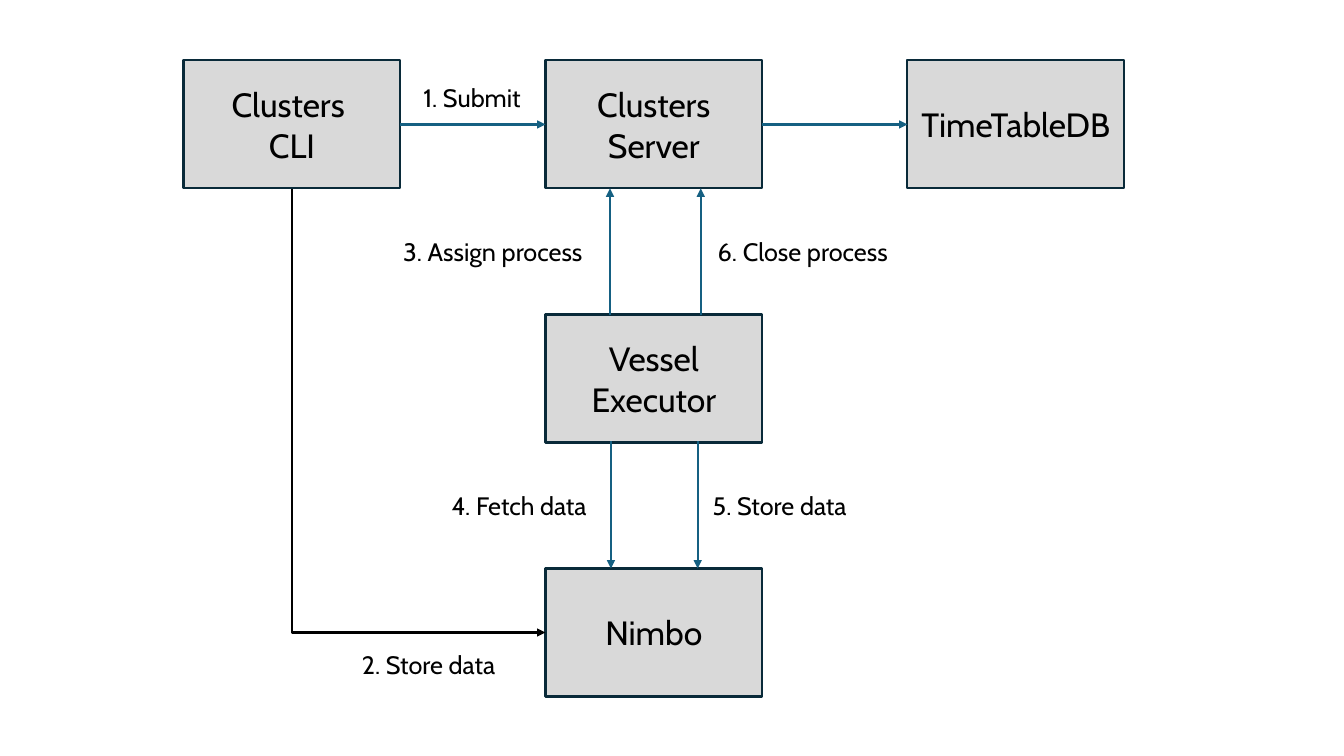
from lxml.etree import SubElement
from pptx import Presentation
from pptx.dml.color import RGBColor
from pptx.enum.shapes import MSO_CONNECTOR as Link, MSO_SHAPE as Preset
from pptx.enum.text import MSO_ANCHOR as Anchor, MSO_AUTO_SIZE as AutoSize, PP_ALIGN as Align
from pptx.oxml.ns import qn
from pptx.util import Inches, Pt

BLACK = RGBColor(0x00, 0x00, 0x00)
BLUE = RGBColor(0x15, 0x60, 0x82)
NAVY = RGBColor(0x09, 0x2A, 0x39)
GREY = RGBColor(0xD9, 0xD9, 0xD9)
FONT = "Cabin"
BOX_WIDTH, BOX_HEIGHT = 2.15, 1.27
FIRST_LEFT, COLUMN_STEP = 1.82, 3.59
FIRST_TOP, ROW_STEP = 0.6, 2.52
TOP, BOTTOM, LEFT, RIGHT = 0, 2, 1, 3


def format_paragraph(paragraph, text, size):
    """Fill a paragraph with black text of the given size."""
    paragraph.text = text
    paragraph.font.name = FONT
    paragraph.font.size = Pt(size)
    paragraph.font.color.rgb = BLACK


def add_box(slide, column, row, *lines):
    """Add a component box at a grid position."""
    box = slide.shapes.add_shape(
        Preset.RECTANGLE,
        Inches(FIRST_LEFT + column * COLUMN_STEP),
        Inches(FIRST_TOP + row * ROW_STEP),
        Inches(BOX_WIDTH),
        Inches(BOX_HEIGHT),
    )
    box.shadow.inherit = False
    box.fill.solid()
    box.fill.fore_color.rgb = GREY
    box.line.color.rgb = NAVY
    box.line.width = Pt(1.5)
    frame = box.text_frame
    frame.vertical_anchor = Anchor.MIDDLE
    for index, line in enumerate(lines):
        paragraph = frame.add_paragraph() if index else frame.paragraphs[0]
        format_paragraph(paragraph, line, 24)
        paragraph.alignment = Align.CENTER
    return box


def add_label(slide, left, top, width, text, wrap=False):
    """Add a step label."""
    label = slide.shapes.add_textbox(Inches(left), Inches(top), Inches(width), Inches(0.4))
    frame = label.text_frame
    frame.word_wrap = wrap
    frame.auto_size = AutoSize.SHAPE_TO_FIT_TEXT
    format_paragraph(frame.paragraphs[0], text, 18)


def style_arrow(arrow, color):
    """Set the line of a connector and put an arrowhead at its end."""
    arrow.line.color.rgb = color
    arrow.line.width = Pt(1.5)
    SubElement(arrow.line._get_or_add_ln(), qn("a:tailEnd"), type="triangle")
    SubElement(arrow.element.spPr, qn("a:effectLst"))


def add_vertical_arrow(slide, x, start, end):
    """Add a free vertical arrow."""
    arrow = slide.shapes.add_connector(
        Link.STRAIGHT, Inches(x), Inches(start), Inches(x), Inches(end)
    )
    style_arrow(arrow, BLUE)


def join_boxes(slide, source, target):
    """Join two neighbouring boxes with a horizontal arrow."""
    arrow = slide.shapes.add_connector(Link.STRAIGHT, 0, 0, 0, 0)
    arrow.begin_connect(source, RIGHT)
    arrow.end_connect(target, LEFT)
    style_arrow(arrow, BLUE)


def add_bent_arrow(slide, source, target):
    """Add an arrow that goes down from one box and right to another."""
    arrow = slide.shapes.add_connector(Link.ELBOW, 0, 0, 0, 0)
    arrow.begin_connect(source, BOTTOM)
    arrow.end_connect(target, LEFT)
    across, down = arrow.width, arrow.height
    arrow.left += (across - down) // 2
    arrow.top += (down - across) // 2
    arrow.width, arrow.height = down, across
    properties = arrow.element.spPr
    properties.find(qn("a:prstGeom")).set("prst", "bentConnector2")
    transform = properties.find(qn("a:xfrm"))
    transform.set("rot", str(270 * 60000))
    transform.set("flipH", "1")
    style_arrow(arrow, BLACK)


def main():
    """Build the process flow slide."""
    deck = Presentation()
    deck.slide_width, deck.slide_height = Inches(13.33), Inches(7.5)
    slide = deck.slides.add_slide(deck.slide_layouts[6])

    client = add_box(slide, 0, 0, "Clusters ", "CLI")
    server = add_box(slide, 1, 0, "Clusters", "Server")
    database = add_box(slide, 2, 0, "TimeTableDB")
    add_box(slide, 1, 1, "Vessel", "Executor")
    storage = add_box(slide, 1, 2, "Nimbo")

    join_boxes(slide, client, server)
    join_boxes(slide, server, database)
    add_bent_arrow(slide, client, storage)
    for x in (6.05, 6.95):
        add_vertical_arrow(slide, x, 3.13, 1.87)
    for x in (6.06, 6.92):
        add_vertical_arrow(slide, x, 4.38, 5.64)

    add_label(slide, 4.1, 0.77, 1.24, "1. Submit")
    add_label(slide, 3.49, 6.39, 1.58, "2. Store data")
    add_label(slide, 3.9, 2.3, 2.1, "3. Assign process", wrap=True)
    add_label(slide, 4.38, 4.82, 1.62, "4. Fetch data", wrap=True)
    add_label(slide, 6.97, 4.82, 1.58, "5. Store data")
    add_label(slide, 7.02, 2.3, 2.1, "6. Close process", wrap=True)

    deck.save("out.pptx")


if __name__ == "__main__":
    main()
